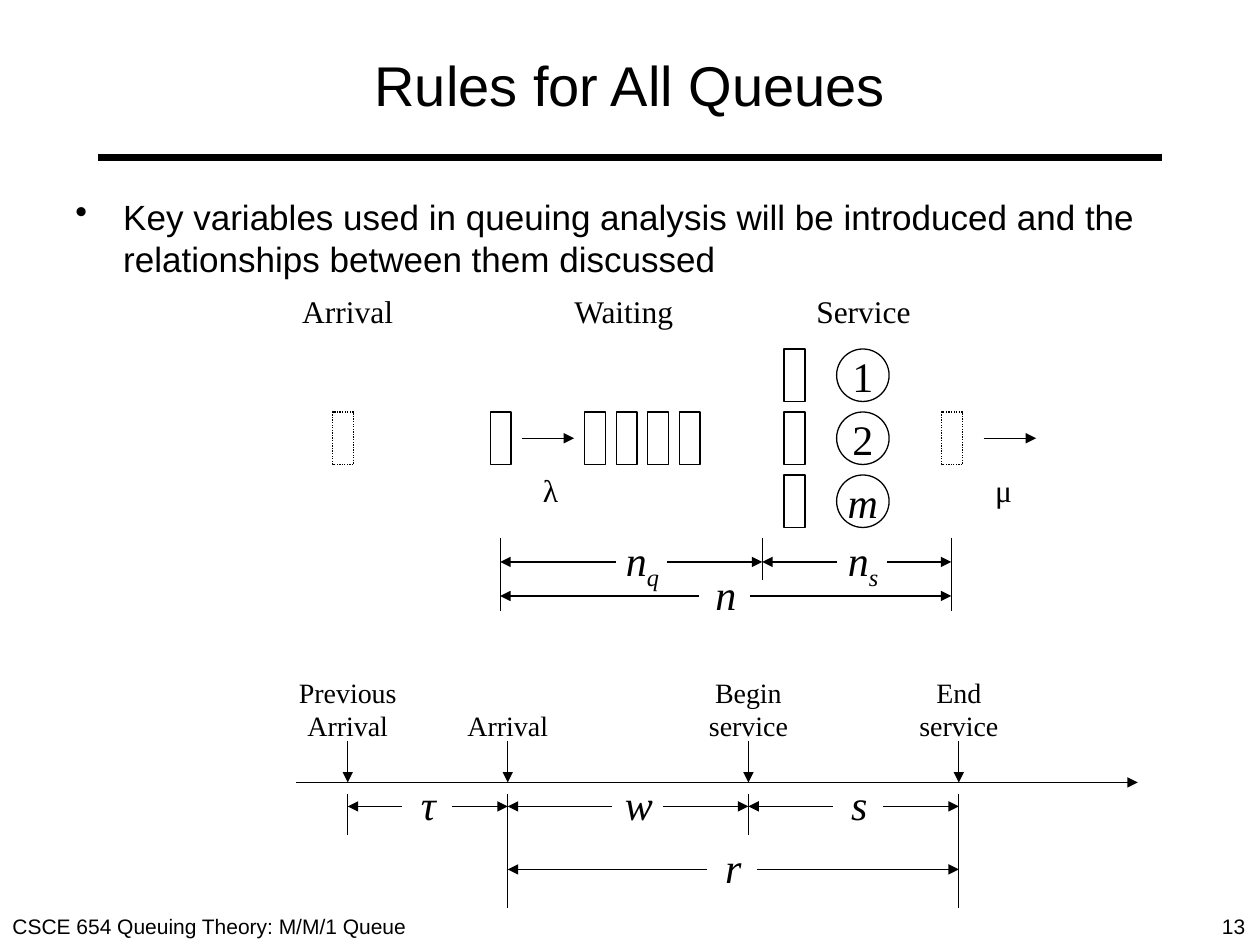
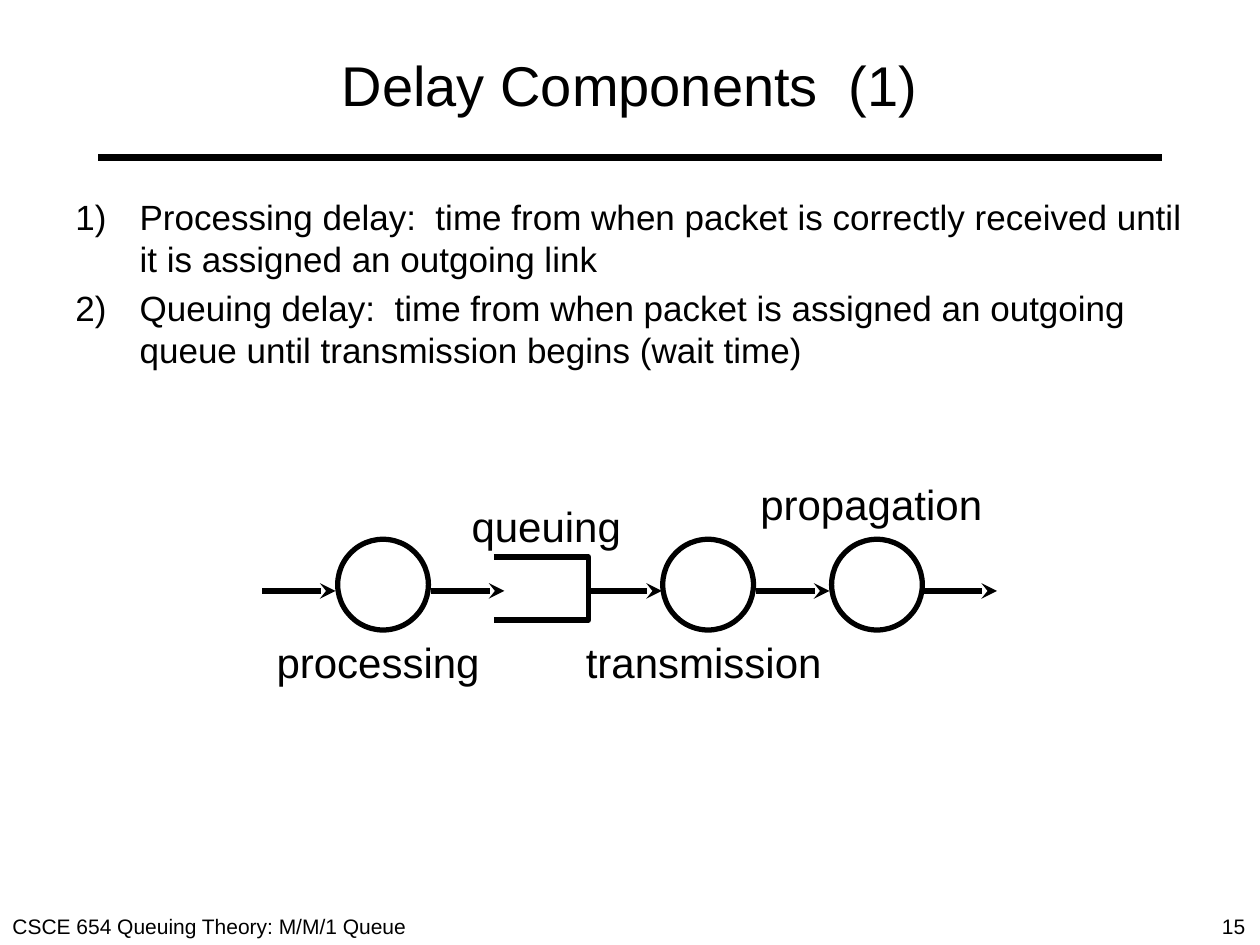
"""Build two slides on queuing theory: rules for all queues and delay components."""
import pptx
import pptx.dml.color
import pptx.enum.dml
import pptx.enum.shapes
import pptx.enum.text
import pptx.oxml.ns
import pptx.util
from lxml import etree

Inches, Pt = pptx.util.Inches, pptx.util.Pt
ALIGN, ANCHOR = pptx.enum.text.PP_ALIGN, pptx.enum.text.MSO_ANCHOR
SHAPE = pptx.enum.shapes.MSO_SHAPE
qn = pptx.oxml.ns.qn

INK = pptx.dml.color.RGBColor(0, 0, 0)
SANS, SERIF = "Arial", "Times New Roman"
WIDTH, HEIGHT = 10, 7.5
THIN, THICK = 0.75, 3
FOOTER = "CSCE 654 Queuing Theory: M/M/1 Queue"


def add_text(page, left, top, width, height, text, size, font=SERIF,
             align=ALIGN.CENTER, italic=False, wrap=False):
    box = page.shapes.add_textbox(Inches(left), Inches(top), Inches(width), Inches(height))
    frame = box.text_frame
    frame.word_wrap = wrap
    frame.text = text
    for para in frame.paragraphs:
        para.alignment = align
        para.font.name, para.font.size = font, Pt(size)
        para.font.italic = italic
        para.font.color.rgb = INK
    return frame


def add_line(page, x1, y1, x2, y2, weight=THIN, arrow=None):
    line = page.shapes.add_connector(
        pptx.enum.shapes.MSO_CONNECTOR.STRAIGHT, Inches(x1), Inches(y1), Inches(x2), Inches(y2))
    line.line.color.rgb = INK
    line.line.width = Pt(weight)
    if arrow:
        etree.SubElement(line.line._get_or_add_ln(), qn("a:tailEnd"), type=arrow)
    etree.SubElement(line._element.spPr, qn("a:effectLst"))


deck = pptx.Presentation()
deck.slide_width, deck.slide_height = Inches(WIDTH), Inches(HEIGHT)

contents = [
    ("Rules for All Queues", "13", 0.38,
     "Key variables used in queuing analysis will be introduced and the "
     "relationships between them discussed"),
    ("Delay Components  (1)", "15", 0.51,
     "1)\tProcessing delay:  time from when packet is correctly received until "
     "it is assigned an outgoing link\n"
     "2)\tQueuing delay:  time from when packet is assigned an outgoing queue "
     "until transmission begins (wait time)"),
]
pages = []
for heading, number, indent, body in contents:
    page = deck.slides.add_slide(deck.slide_layouts[5])
    pages.append(page)
    add_line(page, 0.78, HEIGHT / 6, WIDTH - 0.78, HEIGHT / 6, 4.5)
    add_text(page, 9.6, 7.2, 0.4, 0.3, number, 12, SANS, ALIGN.LEFT)
    add_text(page, 0, 7.2, 4.08, 0.3, FOOTER, 12, SANS, ALIGN.LEFT, wrap=True)

    title = page.shapes.title
    title.left, title.top = Inches(WIDTH * 0.05), Inches(0.17)
    title.width, title.height = Inches(WIDTH * 0.9), Inches(1)
    title.text_frame.text = heading
    title.text_frame.auto_size = pptx.enum.text.MSO_AUTO_SIZE.NONE
    title.text_frame.vertical_anchor = ANCHOR.MIDDLE
    para = title.text_frame.paragraphs[0]
    para.alignment = ALIGN.CENTER
    para.font.name, para.font.size = SANS, Pt(32)
    para.font.color.rgb = INK

    frame = add_text(page, WIDTH * 0.05, HEIGHT * 0.2, WIDTH * 0.9, 5.2,
                     body, 20, SANS, ALIGN.LEFT, wrap=True)
    for para in frame.paragraphs:
        para.space_before = Pt(4)
        properties = para._p.get_or_add_pPr()
        properties.set("marL", str(Inches(indent)))
        properties.set("indent", str(-Inches(indent)))
        if "\t" not in body:
            bullet = etree.Element(qn("a:buChar"), char="•")
            properties.find(qn("a:defRPr")).addprevious(bullet)

rules, delays = pages
outlines = []

CELL = 1 / 12
QUEUE_LEFT, QUEUE_TOP = 2.64, 2.77
packets = [(0, 6), (15, 6), (24, 6), (27, 6), (30, 6), (33, 6),
           (43, 0), (43, 6), (43, 12), (58, 6)]
servers = [(48, 0, "1"), (48, 6, "2"), (48, 12, "m")]
for column, row in packets:
    packet = rules.shapes.add_shape(
        SHAPE.RECTANGLE, Inches(QUEUE_LEFT + column * CELL), Inches(QUEUE_TOP + row * CELL),
        Inches(2 * CELL), Inches(5 * CELL))
    if column in (0, 58):
        packet.line.dash_style = pptx.enum.dml.MSO_LINE.ROUND_DOT
    outlines.append((packet, THIN))
for column, row, label in servers:
    server = rules.shapes.add_shape(
        SHAPE.OVAL, Inches(QUEUE_LEFT + column * CELL), Inches(QUEUE_TOP + row * CELL),
        Inches(5 * CELL), Inches(5 * CELL))
    frame = server.text_frame
    frame.text, frame.word_wrap = label, False
    frame.vertical_anchor = ANCHOR.MIDDLE
    para = frame.paragraphs[0]
    para.alignment = ALIGN.CENTER
    para.font.name, para.font.size = SERIF, Pt(24)
    para.font.italic = label.isalpha()
    para.font.color.rgb = INK
    outlines.append((server, THIN))

for left, top, width, label in [(2.3, 2.27, 0.92, "Arrival"), (4.46, 2.27, 1.01, "Waiting"),
                                (6.38, 2.27, 0.95, "Service"), (4.21, 3.69, 0.34, "λ"),
                                (7.8, 3.69, 0.35, "μ")]:
    add_text(rules, left, top, width, 0.4, label, 18, align=ALIGN.LEFT)
for column in (18, 62):
    start, middle = QUEUE_LEFT + column * CELL, QUEUE_TOP + 8.5 * CELL
    add_line(rules, start, middle, start + 5 * CELL, middle, arrow="triangle")

ENTER, SERVE, LEAVE = 3.97, 6.05, 7.55
for x, bottom in [(ENTER, 4.85), (SERVE, 4.6), (LEAVE, 4.85)]:
    add_line(rules, x, 4.27, x, bottom)

AXIS = 6.21
PREVIOUS, ARRIVAL, BEGIN, END = 2.76, 4.03, 5.94, 7.61
add_line(rules, 2.35, AXIS, 9.03, AXIS, arrow="triangle")
for x, bottom, label in [(PREVIOUS, 6.63, "Previous\nArrival"), (ARRIVAL, 7.21, "Arrival"),
                         (BEGIN, 6.63, "Begin\nservice"), (END, 7.21, "End\nservice")]:
    add_line(rules, x, 5.88, x, AXIS, arrow="triangle")
    add_line(rules, x, 6.3, x, bottom)
    frame = add_text(rules, x - 0.49, 5.3, 0.98, 0.64, label, 16)
    frame.vertical_anchor = ANCHOR.BOTTOM

GAP = 0.4
for start, end, y, gap_left, symbol, subscript in [
        (ENTER, SERVE, 4.46, 4.89, "n", "q"), (SERVE, LEAVE, 4.46, 6.64, "n", "s"),
        (ENTER, LEAVE, 4.73, 5.55, "n", ""), (PREVIOUS, ARRIVAL, 6.4, 3.19, "τ", ""),
        (ARRIVAL, BEGIN, 6.4, 4.86, "w", ""), (BEGIN, END, 6.4, 6.61, "s", ""),
        (ARRIVAL, END, 6.9, 5.61, "r", "")]:
    add_line(rules, gap_left, y, start, y, arrow="triangle")
    add_line(rules, gap_left + GAP, y, end, y, arrow="triangle")
    frame = add_text(rules, gap_left - 0.03, y - 0.27, 0.48, 0.5, symbol, 24, italic=True)
    if subscript:
        span = frame.paragraphs[0].add_run()
        span.text = subscript
        span._r.get_or_add_rPr().set("baseline", "-25000")

for left in (2.68, 5.26, 6.6):
    stage = delays.shapes.add_shape(
        SHAPE.OVAL, Inches(left), Inches(4.28), Inches(0.72), Inches(0.72))
    outlines.append((stage, THICK))
builder = delays.shapes.build_freeform(Inches(3.92), Inches(4.42))
builder.add_line_segments(
    [(Inches(x), Inches(y)) for x, y in [(4.67, 4.42), (4.67, 4.92), (3.92, 4.92)]], close=False)
outlines.append((builder.convert_to_shape(), THICK))
for left in (2.08, 3.42, 4.67, 6, 7.33):
    add_line(delays, left, 4.69, left + 7 * CELL, 4.69, THICK, "stealth")
for left, top, width, label in [(2.09, 5, 1.82, "processing"), (3.64, 3.92, 1.39, "queuing"),
                                (4.55, 5, 2.07, "transmission"), (5.93, 3.75, 1.97, "propagation")]:
    add_text(delays, left, top, width, 0.5, label, 24, SANS)

for shape, weight in outlines:
    shape.shadow.inherit = False
    shape.fill.background()
    shape.line.color.rgb = INK
    shape.line.width = Pt(weight)

deck.save("out.pptx")
